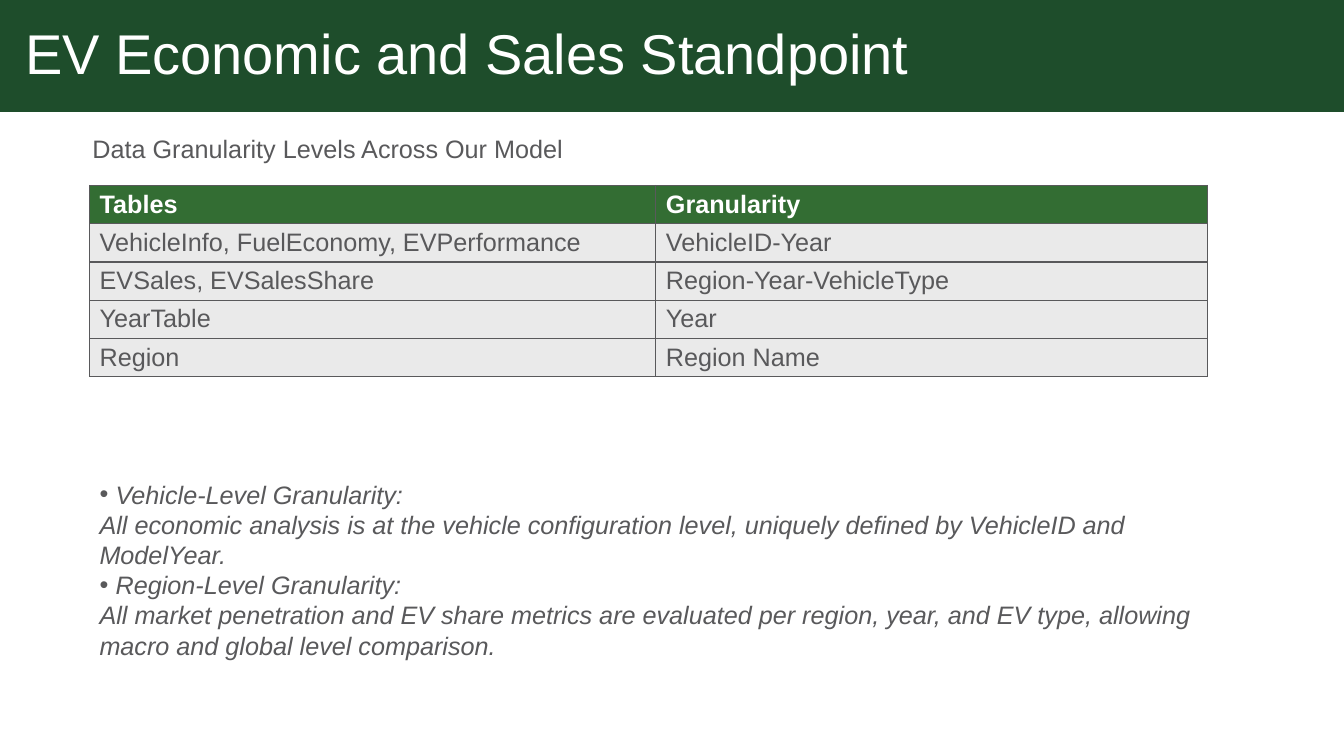
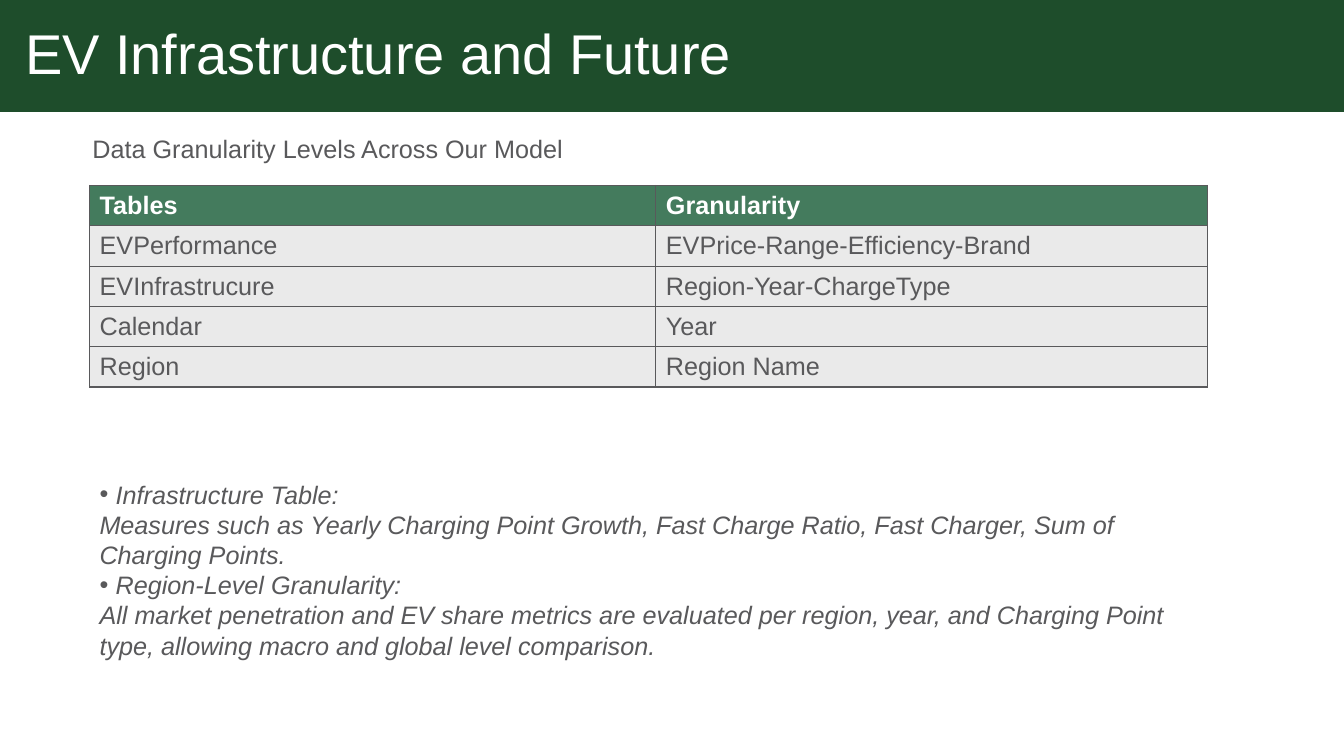
from dataclasses import dataclass

from lxml import etree
from pptx import Presentation
from pptx.dml.color import RGBColor
from pptx.enum.shapes import MSO_SHAPE
from pptx.enum.text import MSO_ANCHOR, PP_ALIGN
from pptx.oxml.ns import qn
from pptx.util import Pt

RECT = MSO_SHAPE.RECTANGLE
TOP = MSO_ANCHOR.TOP
MIDDLE = MSO_ANCHOR.MIDDLE
LEFT = PP_ALIGN.LEFT


@dataclass(frozen=True)
class Theme:
    font: str = "Arial"
    band: str = "1E4D2B"
    white: str = "FFFFFF"
    ink: str = "59595B"
    cell: str = "EAEAEA"
    title: int = 40
    body: int = 18


class Deck:
    def __init__(self, theme):
        self.theme = theme
        self.prs = Presentation()
        self.prs.slide_width = Pt(960)
        self.prs.slide_height = Pt(540)
        self.slide = None

    def page(self):
        self.slide = self.prs.slides.add_slide(self.prs.slide_layouts[6])

    def run(self, para, text, size, color, bold=False, italic=False):
        run = para.add_run()
        run.text = text
        font = run.font
        font.name = self.theme.font
        font.size = Pt(size)
        font.bold = bold
        font.italic = italic
        font.color.rgb = RGBColor.from_string(color)

    def paint(self, item, color):
        item.fill.solid()
        item.fill.fore_color.rgb = RGBColor.from_string(color)

    def band(self, text):
        shape = self.slide.shapes.add_shape(RECT, 0, 0, Pt(960), Pt(80))
        shape.shadow.inherit = False
        self.paint(shape, self.theme.band)
        shape.line.fill.background()
        frame = shape.text_frame
        frame.word_wrap = True
        frame.vertical_anchor = MIDDLE
        frame.margin_left = frame.margin_right = Pt(18)
        frame.margin_top = frame.margin_bottom = Pt(18)
        para = frame.paragraphs[0]
        para.alignment = LEFT
        para.line_spacing = 0.9
        self.run(para, text, self.theme.title, self.theme.white)

    def box(self, left, top, width, height):
        frame = self.slide.shapes.add_textbox(
            Pt(left), Pt(top), Pt(width), Pt(height)).text_frame
        frame.word_wrap = True
        frame.vertical_anchor = TOP
        return frame

    def label(self, text):
        para = self.box(59, 91.5, 360, 29).paragraphs[0]
        self.run(para, text, self.theme.body, self.theme.ink)

    def bullet(self, para):
        props = para._p.get_or_add_pPr()
        props.set("marL", str(Pt(11.5)))
        props.set("indent", str(-Pt(11.5)))
        etree.SubElement(props, qn("a:buFont"), typeface=self.theme.font)
        etree.SubElement(props, qn("a:buChar"), char="•")

    def notes(self, items):
        frame = self.box(64, 338.5, 798.5, 138)
        para = frame.paragraphs[0]
        for pos, (head, text) in enumerate(items):
            if pos:
                para = frame.add_paragraph()
            self.bullet(para)
            for line in (head, text):
                if line is text:
                    para = frame.add_paragraph()
                self.run(para, line, self.theme.body, self.theme.ink,
                         italic=True)

    def border(self, cell):
        props = cell._tc.get_or_add_tcPr()
        for pos, side in enumerate(("lnL", "lnR", "lnT", "lnB")):
            line = etree.Element(qn("a:" + side), w=str(Pt(1)))
            fill = etree.SubElement(line, qn("a:solidFill"))
            etree.SubElement(fill, qn("a:srgbClr"), val=self.theme.ink)
            props.insert(pos, line)

    def table(self, rows, color, height):
        widths = (404.5, 394)
        table = self.slide.shapes.add_table(
            len(rows), len(widths), Pt(64), Pt(132.5),
            Pt(sum(widths)), Pt(height * len(rows))).table
        table.horz_banding = False
        for col, width in zip(table.columns, widths):
            col.width = Pt(width)
        for r, row in enumerate(rows):
            head = r == 0
            table.rows[r].height = Pt(height)
            for c, text in enumerate(row):
                cell = table.cell(r, c)
                cell.margin_top = cell.margin_bottom = Pt(3.3)
                cell.vertical_anchor = MIDDLE
                self.paint(cell, color if head else self.theme.cell)
                self.border(cell)
                self.run(cell.text_frame.paragraphs[0], text,
                         self.theme.body,
                         self.theme.white if head else self.theme.ink,
                         bold=head)


PAGES = (
    {
        "title": "EV Economic and Sales Standpoint",
        "color": "336D33",
        "height": 27.3,
        "rows": (
            ("VehicleInfo, FuelEconomy, EVPerformance", "VehicleID-Year"),
            ("EVSales, EVSalesShare", "Region-Year-VehicleType"),
            ("YearTable", "Year"),
        ),
        "notes": (
            ("Vehicle-Level Granularity:",
             "All economic analysis is at the vehicle configuration level, "
             "uniquely defined by VehicleID and ModelYear."),
            ("Region-Level Granularity:",
             "All market penetration and EV share metrics are evaluated per "
             "region, year, and EV type, allowing macro and global level "
             "comparison."),
        ),
    },
    {
        "title": "EV Infrastructure and Future",
        "color": "447B5D",
        "height": 28.8,
        "rows": (
            ("EVPerformance", "EVPrice-Range-Efficiency-Brand"),
            ("EVInfrastrucure", "Region-Year-ChargeType"),
            ("Calendar", "Year"),
        ),
        "notes": (
            ("Infrastructure Table:",
             "Measures such as Yearly Charging Point Growth, Fast Charge "
             "Ratio, Fast Charger, Sum of Charging Points."),
            ("Region-Level Granularity:",
             "All market penetration and EV share metrics are evaluated per "
             "region, year, and Charging Point type, allowing macro and "
             "global level comparison."),
        ),
    },
)


def main():
    deck = Deck(Theme())
    for page in PAGES:
        deck.page()
        deck.band(page["title"])
        rows = (("Tables", "Granularity"), *page["rows"],
                ("Region", "Region Name"))
        deck.table(rows, page["color"], page["height"])
        deck.label("Data Granularity Levels Across Our Model")
        deck.notes(page["notes"])
    deck.prs.save("out.pptx")


if __name__ == "__main__":
    main()
